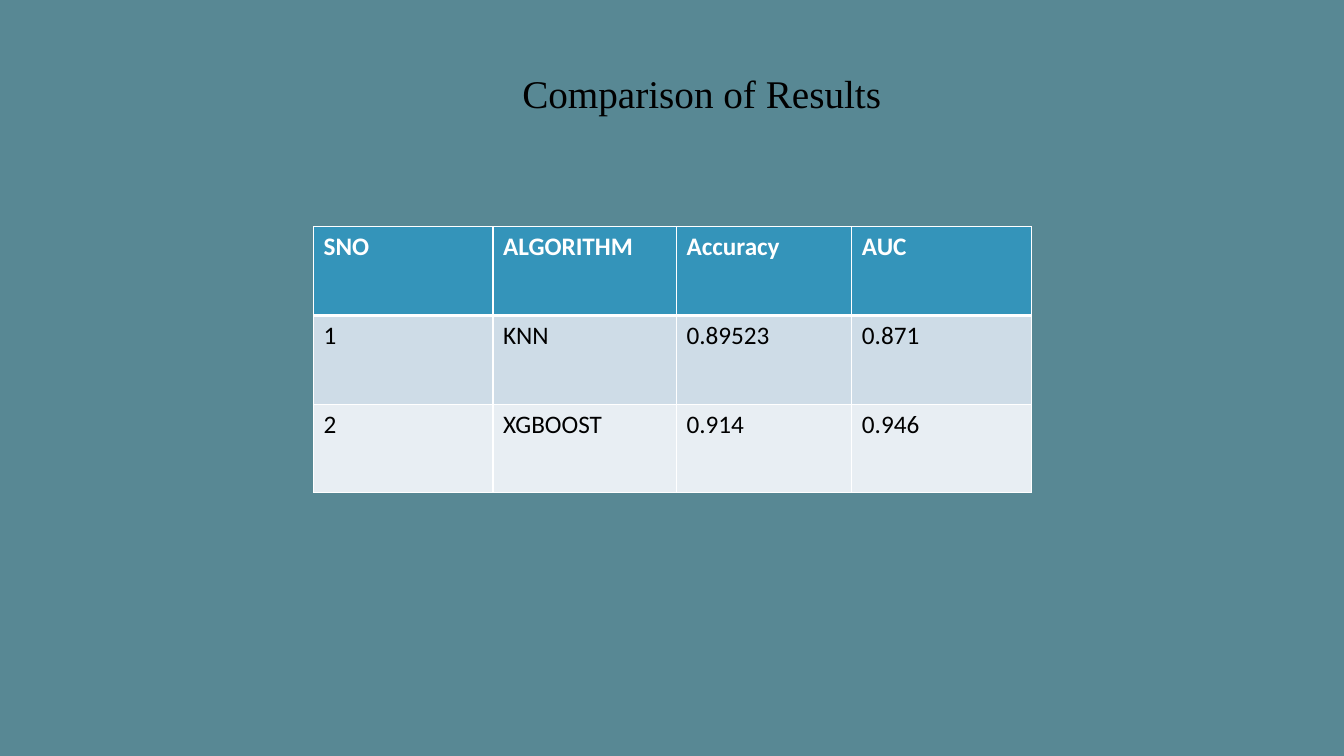
from lxml.etree import SubElement
from pptx import Presentation
from pptx.dml.color import RGBColor
from pptx.enum.text import MSO_ANCHOR, MSO_AUTO_SIZE, PP_ALIGN
from pptx.oxml.ns import qn
from pptx.util import Emu, Pt

EMU_PER_PX = 9144
TEAL = RGBColor(0x58, 0x88, 0x94)
BLUE = RGBColor(0x34, 0x94, 0xBA)
MIST = RGBColor(0xCE, 0xDC, 0xE7)
PALE = RGBColor(0xE8, 0xEE, 0xF3)
WHITE = RGBColor(0xFF, 0xFF, 0xFF)
BLACK = RGBColor(0x00, 0x00, 0x00)

TITLE_FORMAT = {"name": "Times New Roman", "size": Pt(28), "bold": False}
HEADER_FORMAT = {"name": "Calibri", "size": Pt(18), "bold": True}
BODY_FORMAT = {"name": "Calibri", "size": Pt(18), "bold": False}

RESULTS = [
    ["SNO", "ALGORITHM", "Accuracy", "AUC"],
    ["1", "KNN", "0.89523", "0.871"],
    ["2", "XGBOOST", "0.914", "0.946"],
]
ROW_STYLES = [
    (HEADER_FORMAT, WHITE, BLUE),
    (BODY_FORMAT, BLACK, MIST),
    (BODY_FORMAT, BLACK, PALE),
]


def px(length):
    return Emu(length * EMU_PER_PX)


class SlideBuilder:
    def __init__(self, deck, background):
        self.page = deck.slides.add_slide(deck.slide_layouts[5])
        self.page.background.fill.solid()
        self.page.background.fill.fore_color.rgb = background

    def label(self, frame, text, font_format, color):
        para = frame.paragraphs[0]
        para.alignment = PP_ALIGN.LEFT
        span = para.add_run()
        span.text = text
        for name, value in font_format.items():
            setattr(span.font, name, value)
        span.font.color.rgb = color

    def title(self, text, left, top, width, height):
        box = self.page.shapes.title
        place = {"left": left, "top": top, "width": width, "height": height}
        for name, value in place.items():
            setattr(box, name, px(value))
        frame_format = {
            "word_wrap": True,
            "auto_size": MSO_AUTO_SIZE.SHAPE_TO_FIT_TEXT,
            "vertical_anchor": MSO_ANCHOR.TOP,
        }
        for name, value in frame_format.items():
            setattr(box.text_frame, name, value)
        self.label(box.text_frame, text, TITLE_FORMAT, BLACK)

    def border(self, cell, widths):
        properties = cell._tc.get_or_add_tcPr()
        for side, width in widths.items():
            line = SubElement(properties, qn(f"a:ln{side}"), w=str(Pt(width)))
            fill = SubElement(line, qn("a:solidFill"))
            SubElement(fill, qn("a:srgbClr"), val=str(WHITE))

    def table(self, rows, styles, left, top, column_widths, row_height):
        table = self.page.shapes.add_table(
            len(rows), len(column_widths), px(left), px(top),
            px(sum(column_widths)), px(row_height * len(rows)),
        ).table
        for column, width in zip(table.columns, column_widths):
            column.width = px(width)
        for index, (values, style) in enumerate(zip(rows, styles)):
            font_format, color, fill = style
            table.rows[index].height = px(row_height)
            widths = {
                "L": 1,
                "R": 1,
                "T": 3 if index == 1 else 1,
                "B": 3 if index == 0 else 1,
            }
            for cell, text in zip(table.rows[index].cells, values):
                self.border(cell, widths)
                cell.fill.solid()
                cell.fill.fore_color.rgb = fill
                self.label(cell.text_frame, text, font_format, color)


def main():
    deck = Presentation()
    deck.slide_width = px(1333)
    deck.slide_height = px(750)
    slide = SlideBuilder(deck, TEAL)
    slide.title("Comparison of Results", 508, 64, 380, 57)
    slide.table(RESULTS, ROW_STYLES, 311, 225, [178, 182, 174, 178], 88)
    deck.save("out.pptx")


if __name__ == "__main__":
    main()
